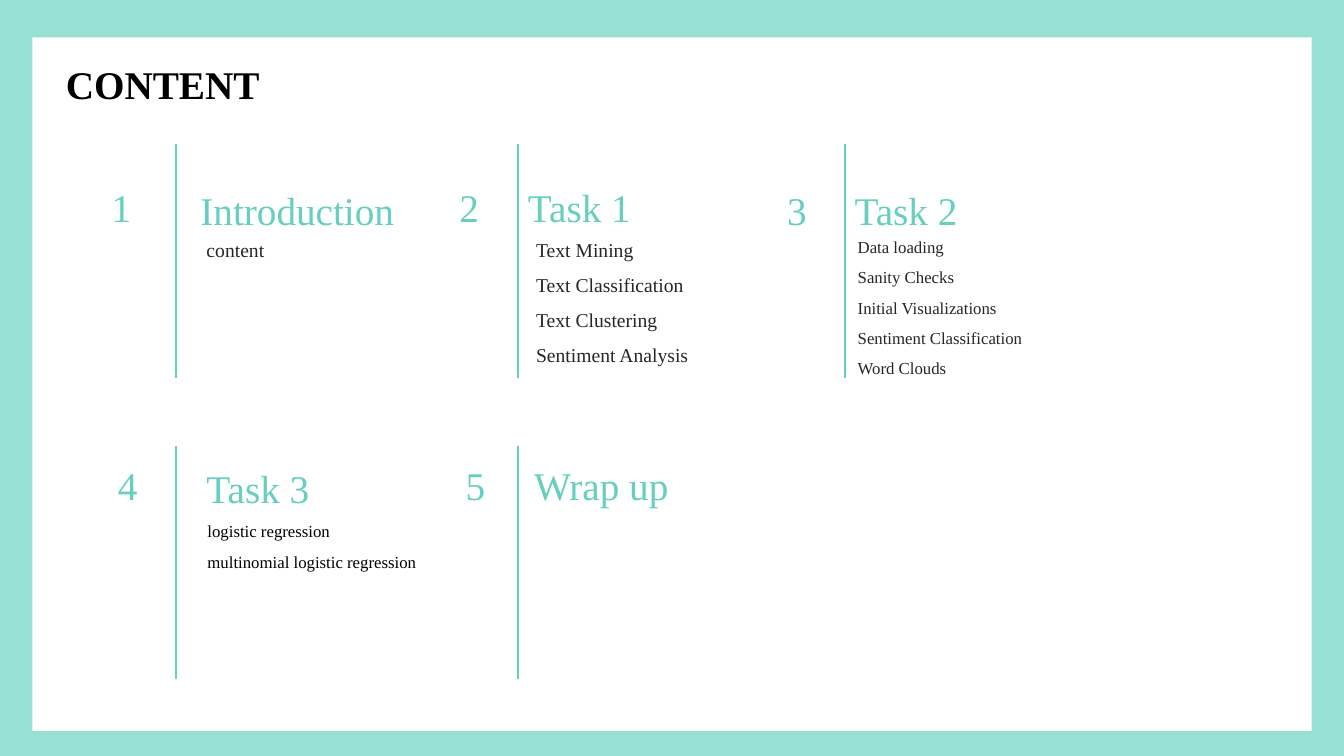
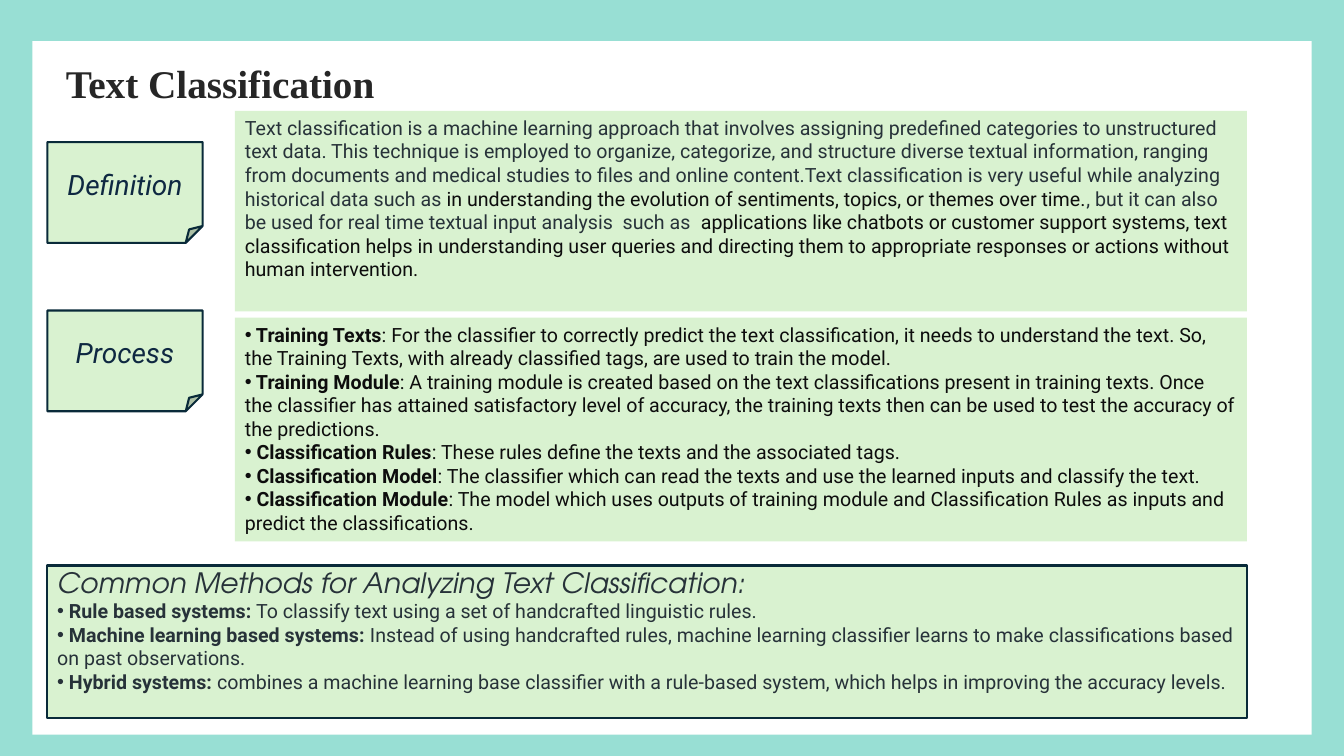
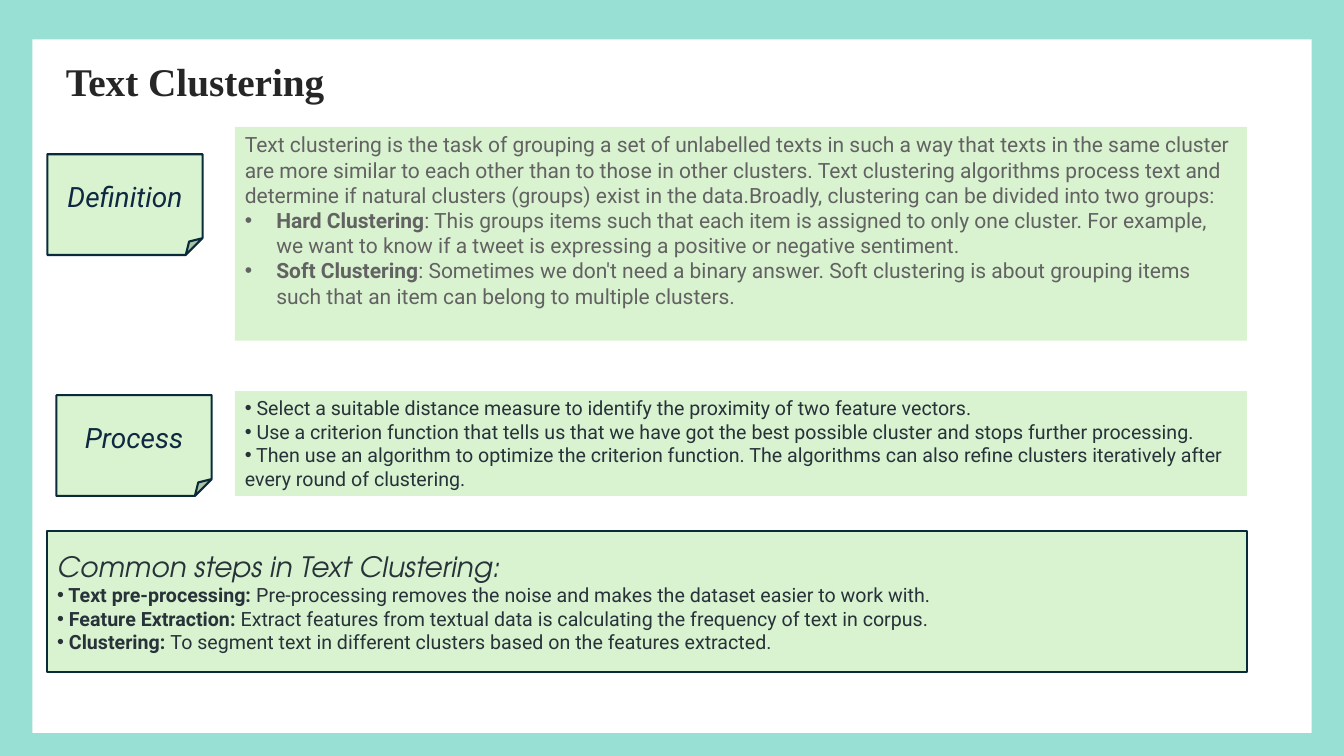
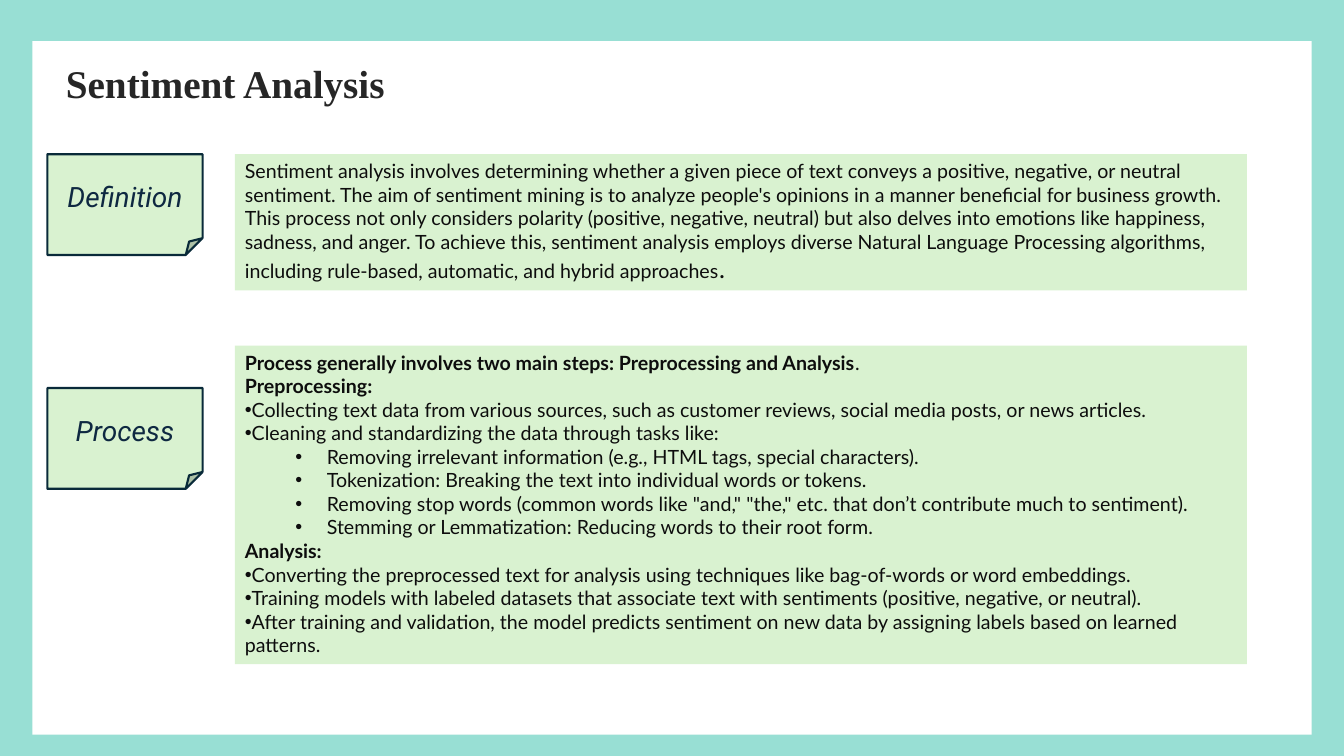
from dataclasses import dataclass, replace

from lxml.etree import SubElement
from pptx import Presentation
from pptx.dml.color import RGBColor
from pptx.enum.shapes import MSO_CONNECTOR as Connector, MSO_SHAPE as Shape
from pptx.enum.text import MSO_ANCHOR as Anchor, MSO_AUTO_SIZE as AutoSize, PP_ALIGN as Align
from pptx.oxml.ns import qn
from pptx.util import Inches, Pt

# Palette
TEAL, PALE_TEAL, MINT = "66CFBF", "98DFD4", "D9F2D0"
NAVY, INK, SLATE = "092A39", "0D0D0D", "273239"
WHITE, BLACK, CHARCOAL, GREY = "FFFFFF", "000000", "262626", "626262"

# Shared edges, in percent of the slide width
NOTE_X, BODY_X, RIGHT_X = 3.52, 17.48, 92.78


@dataclass(frozen=True)
class Style:
    font: str
    size: float
    color: str
    bold: bool = False
    italic: bool = False


@dataclass(frozen=True)
class Para:
    runs: tuple
    bullet: bool = False
    level: int = 0
    indent: float = 0
    hang: float = 0


TITLE = Style("Times New Roman", 28, CHARCOAL, bold=True)
TOPIC = Style("Times New Roman", 28, TEAL)
NOTE = Style("Roboto", 20, "0E2841", italic=True)
HEADING = Style("TeX Gyre Adventor", 20, SLATE, italic=True)
BODY = Style("Roboto", 14, INK)
SLATE_BODY = replace(BODY, color=SLATE)
GREY_BODY = replace(BODY, size=15, color=GREY)
LATO = Style("Lato", 14, INK)


def rgb(hex_color):
    return RGBColor.from_string(hex_color)


def bold(style):
    return replace(style, bold=True)


def plain(text, style):
    return Para(((text, style),))


def bullet(text, style, **layout):
    return Para(((text, style),), bullet=True, **layout)


def term(name, meaning, style, lead=" ", **layout):
    """A bullet that opens with a bold term."""
    return Para(((lead + name, bold(style)), (meaning, style)), bullet=True, **layout)


class Deck:
    """Holds the style and the current slide; lengths are percent of the slide."""

    def __init__(self):
        self.prs = Presentation()
        self.prs.slide_width, self.prs.slide_height = Inches(13.33), Inches(7.5)
        backdrop = self.prs.slide_master.background.fill
        backdrop.solid()
        backdrop.fore_color.rgb = rgb(PALE_TEAL)
        self.slide = None

    def x(self, share):
        return round(self.prs.slide_width * share / 100)

    def y(self, share):
        return round(self.prs.slide_height * share / 100)

    def box(self, left, top, width, height):
        return self.x(left), self.y(top), self.x(width), self.y(height)

    def new_slide(self, title, panel_top, title_gap=1.75, color=CHARCOAL):
        self.slide = self.prs.slides.add_slide(self.prs.slide_layouts[5])
        holder = self.slide.shapes.title
        holder.left, holder.top, holder.width, holder.height = self.box(
            4.15, panel_top + title_gap, 47.7, 7.6)
        self.set_text(holder, [plain(title, replace(TITLE, color=color))])
        # The white panel lies behind the title
        panel = self.shape(Shape.RECTANGLE, 2.4, panel_top, 95.2, 91.73, WHITE)
        holder._element.addprevious(panel._element)

    def shape(self, kind, left, top, width, height, fill, outline=None):
        shape = self.slide.shapes.add_shape(kind, *self.box(left, top, width, height))
        shape.shadow.inherit = False
        shape.fill.solid()
        shape.fill.fore_color.rgb = rgb(fill)
        if outline:
            shape.line.color.rgb = rgb(outline)
            shape.line.width = Pt(1.5)
        else:
            shape.line.fill.background()
        return shape

    def set_text(self, shape, paras, align=Align.LEFT, anchor=Anchor.TOP, spacing=1.0):
        frame = shape.text_frame
        frame.word_wrap, frame.auto_size = True, AutoSize.NONE
        frame.vertical_anchor = anchor
        for number, para in enumerate(paras):
            line = frame.add_paragraph() if number else frame.paragraphs[0]
            line.alignment, line.level, line.line_spacing = align, para.level, spacing
            line.space_before = Pt(0)
            if para.bullet:
                props = line._p.get_or_add_pPr()
                props.set("marL", str(self.x(para.indent)))
                props.set("indent", str(-self.x(para.hang)))
                SubElement(props, qn("a:buFont")).set("typeface", "Arial")
                SubElement(props, qn("a:buChar")).set("char", "•")
            for text, style in para.runs:
                run = line.add_run()
                run.text = text
                font = run.font
                font.name, font.size = style.font, Pt(style.size)
                font.bold, font.italic = style.bold, style.italic
                font.color.rgb = rgb(style.color)

    def label(self, left, top, width, height, lines, style):
        area = self.slide.shapes.add_textbox(*self.box(left, top, width, height))
        self.set_text(area, [plain(line, style) for line in lines], spacing=1.5)

    def bar(self, left, top, length):
        start, end = self.y(top), self.y(top + length)
        line = self.slide.shapes.add_connector(
            Connector.STRAIGHT, self.x(left), start, self.x(left), end)
        line.line.color.rgb = rgb(TEAL)
        line.line.width = Pt(1.5)
        SubElement(line._element.spPr, qn("a:effectLst"))

    def note(self, text, top, left=NOTE_X):
        note = self.shape(Shape.FOLDED_CORNER, left, top, 11.55, 13.33, MINT, NAVY)
        self.set_text(note, [plain(text, NOTE)], Align.CENTER, Anchor.MIDDLE)

    def body(self, top, height, paras):
        body = self.shape(Shape.RECTANGLE, BODY_X, top, RIGHT_X - BODY_X, height, MINT)
        self.set_text(body, paras)

    def summary(self, top, height, inset, heading, terms):
        summary = self.shape(
            Shape.RECTANGLE, NOTE_X, top, RIGHT_X - NOTE_X, height, MINT, NAVY)
        summary.text_frame.margin_top = self.y(inset)
        self.set_text(summary, [plain(heading, HEADING)]
                      + [term(name, meaning, SLATE_BODY) for name, meaning in terms])


def content(deck):
    deck.new_slide("CONTENT", 4.95, title_gap=2.4, color=BLACK)
    # Columns: bar, number, heading, drop of number, drop of heading
    columns = [(13.12, 7.58, 14.18, 0, 0.4),
               (38.55, 33.45, 38.55, 0, 0),
               (62.85, 57.83, 62.85, 0.4, 0.4)]
    # Rows: bar top, text top, text shift
    rows = [(19.07, 20.53, 0), (58.93, 57.2, 0.45)]
    # Topics: heading, list place, list size, list colour, list
    topics = [
        ("Introduction", 14.63, 29.2, 14, CHARCOAL, ["content"]),
        ("Task 1", 39.15, 29.2, 14, CHARCOAL,
         ["Text Mining", "Text Classification", "Text Clustering", "Sentiment Analysis"]),
        ("Task 2", 63.08, 29.33, 12, CHARCOAL,
         ["Data loading", "Sanity Checks", "Initial Visualizations",
          "Sentiment Classification", "Word Clouds"]),
        ("Task 3", 14.7, 66.93, 12, BLACK,
         ["logistic regression", "multinomial logistic regression"]),
        ("Wrap up", 0, 0, 12, BLACK, []),
    ]
    for index, (heading, list_x, list_y, size, color, items) in enumerate(topics):
        row, column = divmod(index, len(columns))
        bar_x, number_x, heading_x, number_drop, heading_drop = columns[column]
        bar_y, text_y, shift = rows[row]
        deck.bar(bar_x, bar_y, 30.9)
        deck.label(number_x + shift, text_y + number_drop, 5.5, 9.6, [str(index + 1)], TOPIC)
        deck.label(heading_x + shift, text_y + heading_drop, 19.05, 9.6, [heading], TOPIC)
        if items:
            deck.label(list_x, list_y, 20, 5 * len(items), items,
                       replace(TOPIC, size=size, color=color))


def text_classification(deck):
    deck.new_slide("Text Classification", 5.45)
    deck.body(14.67, 26.53, [Para((
        ("Text classification is a machine learning approach that involves assigning predefined "
         "categories to unstructured text data. This technique is employed to organize, "
         "categorize, and structure diverse textual information, ranging from documents and "
         "medical studies to files and online content.Text classification is very useful while "
         "analyzing historical data such as", SLATE_BODY),
        (" in understanding the evolution of sentiments, topics, or themes over time.", BODY),
        (", but it can also be used for real time textual input analysis  such as  ", SLATE_BODY),
        ("applications like chatbots or customer support systems, text classification helps in "
         "understanding user queries and directing them to appropriate responses or actions "
         "without human intervention.", BODY)))])
    deck.note("Definition", 18.8)
    deck.note("Process", 41.07)
    deck.body(42, 29.6, [term(name, meaning, BODY) for name, meaning in [
        ("Training Texts",
         ": For the classifier to correctly predict the text classification, it needs to "
         "understand the text. So, the Training Texts, with already classified tags, are used "
         "to train the model."),
        ("Training Module",
         ": A training module is created based on the text classifications present in training "
         "texts. Once the classifier has attained satisfactory level of accuracy, the training "
         "texts then can be used to test the accuracy of the predictions."),
        ("Classification Rules", ": These rules define the texts and the associated tags."),
        ("Classification Model",
         ": The classifier which can read the texts and use the learned inputs and classify "
         "the text."),
        ("Classification Module",
         ": The model which uses outputs of training module and Classification Rules as inputs "
         "and predict the classifications."),
    ]])
    deck.summary(74.8, 20.13, 0, "Common Methods for Analyzing Text Classification:", [
        ("Rule based systems:", " To classify text using a set of handcrafted linguistic rules."),
        ("Machine learning based systems: ",
         "Instead of using handcrafted rules, machine learning classifier learns to make "
         "classifications based on past observations."),
        ("Hybrid systems: ",
         "combines a machine learning base classifier with a rule-based system, which helps in "
         "improving the accuracy levels."),
    ])


def text_clustering(deck):
    deck.new_slide("Text Clustering", 5.2)
    hanging = dict(lead="", indent=2.34, hang=2.34)
    deck.body(16.8, 28.27, [
        plain("Text clustering is the task of grouping a set of unlabelled texts in such a way "
              "that texts in the same cluster are more similar to each other than to those in "
              "other clusters. Text clustering algorithms process text and determine if natural "
              "clusters (groups) exist in the data.Broadly, clustering can be divided into two "
              "groups:", GREY_BODY),
        term("Hard Clustering",
             ": This groups items such that each item is assigned to only one cluster. For "
             "example, we want to know if a tweet is expressing a positive or negative "
             "sentiment.", GREY_BODY, **hanging),
        term("Soft Clustering",
             ": Sometimes we don't need a binary answer. Soft clustering is about grouping items "
             "such that an item can belong to multiple clusters.", GREY_BODY, **hanging),
    ])
    deck.note("Definition", 20.4)
    deck.note("Process", 52.27, left=4.2)
    deck.body(51.73, 13.87, [bullet(step, SLATE_BODY) for step in [
        " Select a suitable distance measure to identify the proximity of two feature vectors.",
        " Use a criterion function that tells us that we have got the best possible cluster and "
        "stops further processing.",
        " Then use an algorithm to optimize the criterion function. The algorithms can also "
        "refine clusters iteratively after every round of clustering.",
    ]])
    deck.summary(70.27, 18.67, 2.4, "Common steps in Text Clustering:", [
        ("Text pre-processing:",
         " Pre-processing removes the noise and makes the dataset easier to work with."),
        ("Feature Extraction: ",
         "Extract features from textual data is calculating the frequency of text in corpus."),
        ("Clustering: ",
         "To segment text in different clusters based on the features extracted."),
    ])


def sentiment_analysis(deck):
    deck.new_slide("Sentiment Analysis", 5.45)
    deck.body(20.4, 18, [Para((
        ("Sentiment analysis involves determining whether a given piece of text conveys a "
         "positive, negative, or neutral sentiment. The aim of sentiment mining is to analyze "
         "people's opinions in a manner beneficial for business growth. This process not only "
         "considers polarity (positive, negative, neutral) but also delves into emotions like "
         "happiness, sadness, and anger. To achieve this, sentiment analysis employs diverse "
         "Natural Language Processing algorithms, including rule-based, automatic, and hybrid "
         "approaches", LATO),
        (".", replace(LATO, size=18))))])
    deck.note("Definition", 20.4)
    deck.note("Process", 51.33)
    cleaning = [
        "Removing irrelevant information (e.g., HTML tags, special characters).",
        "Tokenization: Breaking the text into individual words or tokens.",
        'Removing stop words (common words like "and," "the," etc. that don’t contribute '
        "much to sentiment).",
        "Stemming or Lemmatization: Reducing words to their root form.",
    ]
    analysis = [
        "Converting the preprocessed text for analysis using techniques like bag-of-words or "
        "word embeddings.",
        "Training models with labeled datasets that associate text with sentiments (positive, "
        "negative, or neutral).",
        "After training and validation, the model predicts sentiment on new data by assigning "
        "labels based on learned patterns.",
    ]
    deck.body(45.73, 42.13, [
        Para((("Process generally involves two main steps: Preprocessing and Analysis",
               bold(LATO)), (".", LATO))),
        plain("Preprocessing:", bold(LATO)),
        bullet("Collecting text data from various sources, such as customer reviews, social "
               "media posts, or news articles.", LATO),
        bullet("Cleaning and standardizing the data through tasks like:", LATO),
        *[bullet(task, LATO, level=1, indent=6.1, hang=2.34) for task in cleaning],
        plain("Analysis:", bold(LATO)),
        *[bullet(step, LATO) for step in analysis],
    ])


def main():
    deck = Deck()
    for build in (content, text_classification, text_clustering, sentiment_analysis):
        build(deck)
    deck.prs.save("out.pptx")


if __name__ == "__main__":
    main()
